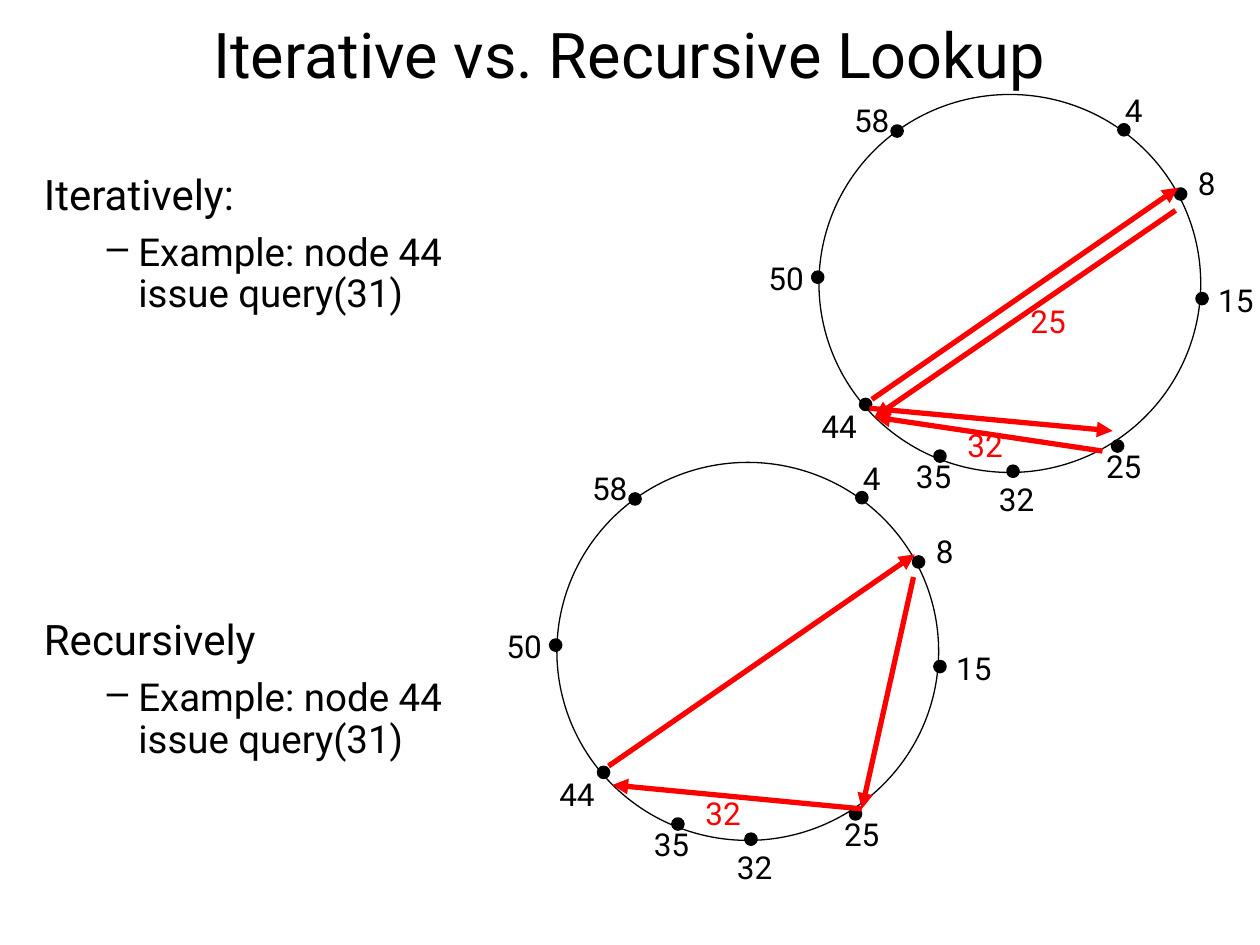
import pptx
import pptx.util
import pptx.dml.color
import pptx.enum.shapes
import pptx.enum.text
import pptx.oxml.xmlchemy
from pptx.util import Inches

FONT = "Roboto"
BLACK, RED = "000000", "FF0000"
DOT = 0.08
RING = (6.5, 0.75, 3.03, 3)

TITLE = "Iterative vs. Recursive Lookup"
BODY = [
    ("Iteratively:", 0, 0),
    ("Example: node 44 issue query(31)", 1, 8),
    ("Recursively", 0, 173),
    ("Example: node 44 issue query(31)", 1, 8),
]
NODES = [
    ("4", (8.88, 0.99), (8.83, 0.67)),
    ("8", (9.33, 1.5), (9.41, 1.25)),
    ("15", (9.5, 2.33), (9.57, 2.18)),
    ("25", (8.83, 3.5), (8.68, 3.5)),
    ("32", (8, 3.7), (7.83, 3.76)),
    ("35", (7.42, 3.58), (7.17, 3.58)),
    ("44", (6.83, 3.17), (6.42, 3.18)),
    ("50", (6.45, 2.16), (6, 2.01)),
    ("58", (7.08, 1), (6.68, 0.75)),
]
LOOKUPS = [
    {
        "offset": (0, 0),
        "arrows": [
            ((6.92, 3.17), (9.35, 1.49)),
            ((9.33, 1.67), (6.94, 3.31)),
            ((6.9, 3.24), (8.83, 3.42)),
            ((8.75, 3.58), (6.94, 3.31)),
        ],
        "replies": [("25", (8.08, 2.35)), ("32", (7.58, 3.33))],
    },
    {
        "offset": (-2.08, 2.92),
        "arrows": [
            ((4.83, 6.08), (7.26, 4.4)),
            ((7.25, 4.58), (6.84, 6.42)),
            ((6.84, 6.42), (4.86, 6.23)),
        ],
        "replies": [("32", (5.5, 6.25))],
    },
]


def rgb(color):
    return pptx.dml.color.RGBColor.from_string(color)


def make_element(tag, **attributes):
    element = pptx.oxml.xmlchemy.OxmlElement(tag)
    for name, value in attributes.items():
        element.set(name, value)
    return element


def add_run(paragraph, text, size, color=BLACK):
    run = paragraph.add_run()
    run.text = text
    run.font.name = FONT
    run.font.size = pptx.util.Pt(size)
    run.font.color.rgb = rgb(color)


def add_textbox(shapes, left, top, width, height):
    frame = shapes.add_textbox(*map(Inches, (left, top, width, height))).text_frame
    frame.word_wrap = True
    return frame


def add_label(shapes, text, position, color=BLACK):
    width = 0.34 if len(text) == 1 else 0.48
    frame = add_textbox(shapes, *position, width, 0.4)
    frame.word_wrap = False
    frame.auto_size = pptx.enum.text.MSO_AUTO_SIZE.SHAPE_TO_FIT_TEXT
    add_run(frame.paragraphs[0], text, 18, color)


def add_ellipse(shapes, box, line_width, filled):
    shape = shapes.add_shape(pptx.enum.shapes.MSO_SHAPE.OVAL, *map(Inches, box))
    shape.shadow.inherit = False
    if filled:
        shape.fill.solid()
        shape.fill.fore_color.rgb = rgb(BLACK)
    else:
        shape.fill.background()
    shape.line.color.rgb = rgb(BLACK)
    shape.line.width = pptx.util.Pt(line_width)


def add_arrow(shapes, start, end):
    arrow = shapes.add_connector(
        pptx.enum.shapes.MSO_CONNECTOR.STRAIGHT, *map(Inches, start + end))
    arrow.line.color.rgb = rgb(RED)
    arrow.line.width = pptx.util.Pt(3)
    line = arrow.line._get_or_add_ln()
    line.append(make_element("a:tailEnd", type="triangle"))
    line.addnext(make_element("a:effectLst"))


def add_ring(shapes, offset):
    def shift(position):
        return position[0] + offset[0], position[1] + offset[1]

    group = shapes.add_group_shape().shapes
    add_ellipse(group, shift(RING[:2]) + RING[2:], 0.75, False)
    for name, dot, label in NODES:
        add_ellipse(group, shift(dot) + (DOT, DOT), 2, True)
    for name, dot, label in NODES:
        add_label(group, name, shift(label))


def add_title(shapes):
    frame = add_textbox(shapes, 1.08, 0.17, 7.83, 0.58)
    frame.vertical_anchor = pptx.enum.text.MSO_ANCHOR.MIDDLE
    paragraph = frame.paragraphs[0]
    paragraph.alignment = pptx.enum.text.PP_ALIGN.CENTER
    paragraph.line_spacing = 0.9
    add_run(paragraph, TITLE, 36)


def add_body(shapes):
    frame = add_textbox(shapes, 0.25, 1.33, 3.58, 5.33)
    for index, (text, level, space) in enumerate(BODY):
        paragraph = frame.add_paragraph() if index else frame.paragraphs[0]
        paragraph.level = level
        paragraph.line_spacing = 0.9
        paragraph.space_before = pptx.util.Pt(space)
        if level:
            properties = paragraph._p.get_or_add_pPr()
            properties.set("marL", str(Inches(0.75)))
            properties.set("indent", str(Inches(-0.25)))
            properties.append(make_element("a:buChar", char="–"))
        add_run(paragraph, text, 22 if level else 24)


def main():
    presentation = pptx.Presentation()
    presentation.slide_width = Inches(10)
    presentation.slide_height = Inches(7.5)
    slide = presentation.slides.add_slide(presentation.slide_layouts[6])
    add_title(slide.shapes)
    add_body(slide.shapes)
    for lookup in LOOKUPS:
        add_ring(slide.shapes, lookup["offset"])
        for start, end in lookup["arrows"]:
            add_arrow(slide.shapes, start, end)
        for text, position in lookup["replies"]:
            add_label(slide.shapes, text, position, RED)
    presentation.save("out.pptx")


if __name__ == "__main__":
    main()
